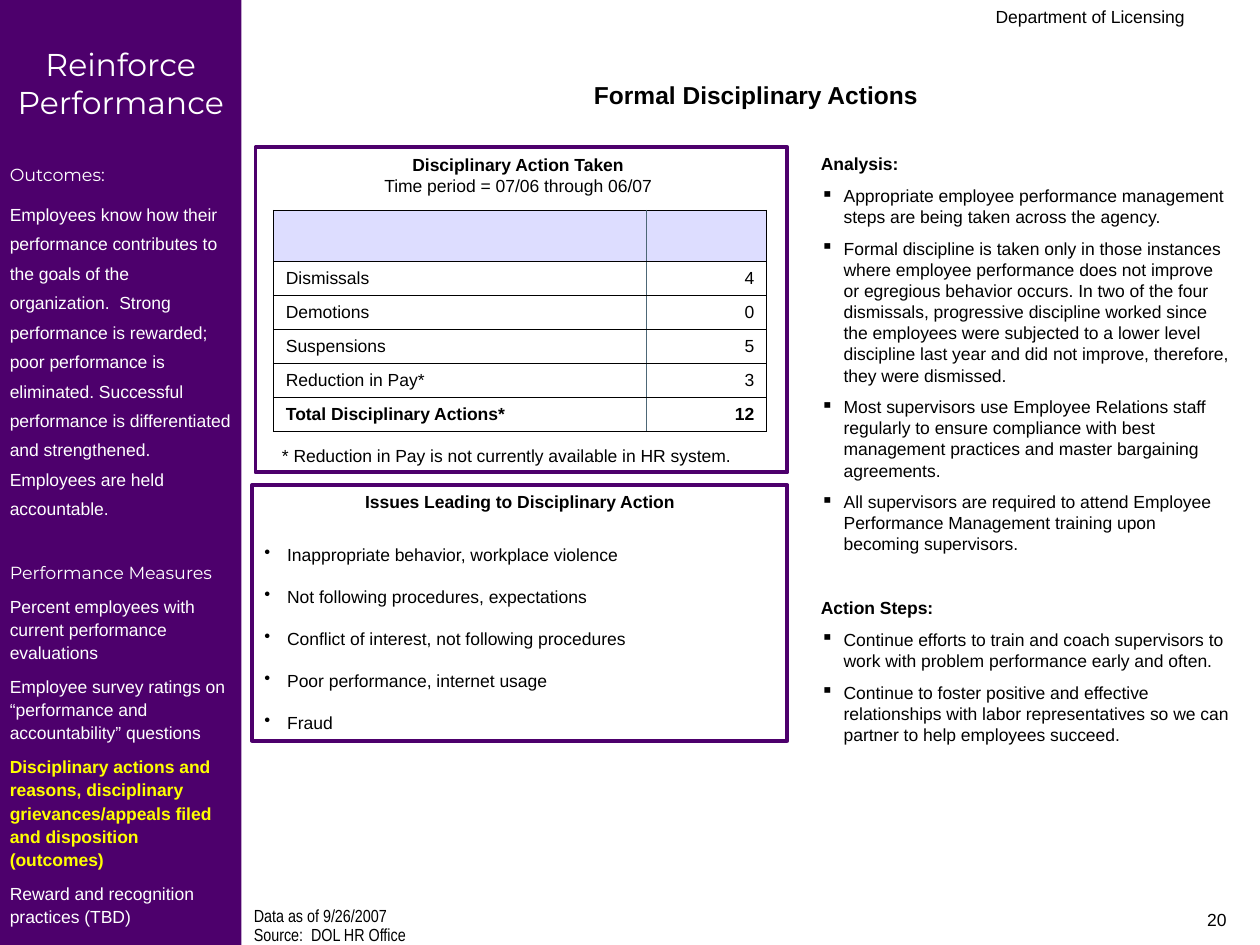
from dataclasses import dataclass
from typing import Optional

from lxml import etree
from pptx import Presentation
from pptx.dml.color import RGBColor
from pptx.enum import shapes, text
from pptx.oxml import ns
from pptx.util import Pt

HUES = {"ink": "000000", "plum": "4D006C", "white": "FFFFFF",
        "gold": "FFFF00", "lilac": "DDDDFF", "slate": "4D6776"}
LEFT, MID, RIGHT = text.PP_ALIGN.LEFT, text.PP_ALIGN.CENTER, text.PP_ALIGN.RIGHT
GAP = 6.2
LINE = 12
BREAK = 2 * GAP + LINE
HANG = 13


@dataclass
class Para:
    words: str
    size: float = 10
    face: str = "Arial"
    hue: str = "ink"
    bold: bool = False
    align: text.PP_ALIGN = LEFT
    gap: float = 0
    lead: Optional[float] = None
    mark: str = ""


@dataclass
class Box:
    left: float
    top: float
    width: float
    height: float

    def place(self) -> tuple:
        return tuple(Pt(n) for n in (self.left, self.top, self.width, self.height))


def color(name: str) -> RGBColor:
    return RGBColor.from_string(HUES[name])


def add_mark(par, mark: str, hue: str) -> None:
    """Give a paragraph a hanging bullet."""
    props = par._p.get_or_add_pPr()
    props.set("marL", str(Pt(HANG)))
    props.set("indent", str(-Pt(HANG)))
    tint = etree.SubElement(props, ns.qn("a:buClr"))
    etree.SubElement(tint, ns.qn("a:srgbClr"), val=HUES[hue])
    etree.SubElement(props, ns.qn("a:buChar"), char=mark)


def write(frame, paras: list, *, pad_x: float = 7.2, pad_top: float = 3.6) -> None:
    frame.word_wrap = True
    frame.auto_size = text.MSO_AUTO_SIZE.NONE
    frame.vertical_anchor = text.MSO_ANCHOR.TOP
    frame.margin_left = frame.margin_right = Pt(pad_x)
    frame.margin_top, frame.margin_bottom = Pt(pad_top), Pt(3.6)
    for num, item in enumerate(paras):
        par = frame.add_paragraph() if num else frame.paragraphs[0]
        fill_para(par, item)


def fill_para(par, item: Para) -> None:
    par.alignment = item.align
    par.space_before = Pt(item.gap)
    if item.lead:
        par.line_spacing = item.lead
    if item.mark:
        add_mark(par, item.mark, item.hue)
    run = par.add_run()
    run.text = item.words
    font = run.font
    font.size, font.name, font.bold = Pt(item.size), item.face, item.bold
    font.color.rgb = color(item.hue)


def label(slide, box: Box, paras: list) -> None:
    write(slide.shapes.add_textbox(*box.place()).text_frame, paras)


def panel(slide, box: Box, *, fill: str = "", line: str = ""):
    shape = slide.shapes.add_shape(shapes.MSO_SHAPE.RECTANGLE, *box.place())
    shape.shadow.inherit = False
    if fill:
        shape.fill.solid()
        shape.fill.fore_color.rgb = color(fill)
    else:
        shape.fill.background()
    if line:
        shape.line.color.rgb = color(line)
        shape.line.width = Pt(2.25)
    else:
        shape.line.fill.background()
    return shape


def edge(cell, side: str, hue: str) -> None:
    line = etree.SubElement(cell._tc.get_or_add_tcPr(), ns.qn(f"a:ln{side}"),
                            w=str(Pt(0.45)))
    solid = etree.SubElement(line, ns.qn("a:solidFill"))
    etree.SubElement(solid, ns.qn("a:srgbClr"), val=HUES[hue])


def add_grid(slide, box: Box, cols: list, rows: list, head: float) -> None:
    """Draw the action counts under an empty header row."""
    table = slide.shapes.add_table(len(rows) + 1, len(cols), *box.place()).table
    table.first_row = table.horz_banding = False
    for num, width in enumerate(cols):
        table.columns[num].width = Pt(width)
    step = (box.height - head) / len(rows)
    for r, row in enumerate([("", "")] + rows):
        table.rows[r].height = Pt(step if r else head)
        for c, words in enumerate(row):
            cell = table.cell(r, c)
            for side in "LRTB":
                inner = side == "LR"[1 - c]
                edge(cell, side, "slate" if inner else "ink")
            cell.fill.solid()
            cell.fill.fore_color.rgb = color("white" if r else "lilac")
            cell.vertical_anchor = text.MSO_ANCHOR.MIDDLE
            if words:
                fill_para(cell.text_frame.paragraphs[0],
                          Para(words, bold=r == len(rows), align=RIGHT if c else LEFT))


ISSUES = ["Inappropriate behavior, workplace violence",
          "Not following procedures, expectations",
          "Conflict of interest, not following procedures",
          "Poor performance, internet usage",
          "Fraud"]
NOTES = [
    "Appropriate employee performance management steps are being taken across the agency.",
    "Formal discipline is taken only in those instances where employee performance does not "
    "improve or egregious behavior occurs. In two of the four dismissals, progressive "
    "discipline worked since the employees were subjected to a lower level discipline last "
    "year and did not improve, therefore, they were dismissed.",
    "Most supervisors use Employee Relations staff regularly to ensure compliance with best "
    "management practices and master bargaining agreements.",
    "All supervisors are required to attend Employee Performance Management training upon "
    "becoming supervisors."]
STEPS = [
    "Continue efforts to train and coach supervisors to work with problem performance early "
    "and often.",
    "Continue to foster positive and effective relationships with labor representatives so "
    "we can partner to help employees succeed."]
COUNTS = [("Dismissals", "4"), ("Demotions", "0"), ("Suspensions", "5"),
          ("Reduction in Pay*", "3"), ("Total Disciplinary Actions*", "12")]
GOAL = ("Employees know how their performance contributes to the goals of the organization.  "
        "Strong performance is rewarded; poor performance is eliminated. Successful "
        "performance is differentiated and strengthened. Employees are held accountable.")
GAUGES = [
    ("Percent employees with current performance evaluations", False),
    ("Employee survey ratings on “performance and accountability” questions", False),
    ("Disciplinary actions and reasons, disciplinary grievances/appeals filed and "
     "disposition (outcomes)", True),
    ("Reward and recognition practices (TBD)", False)]


def squares(items: list) -> list:
    return [Para(words, gap=GAP, mark="▪") for words in items]


def main() -> None:
    deck = Presentation()
    deck.slide_width, deck.slide_height = Pt(720), Pt(540)
    slide = deck.slides.add_slide(deck.slide_layouts[5])

    title = slide.shapes.title
    title.left, title.top, title.width, title.height = Box(144, 42, 576, 24.5).place()
    write(title.text_frame,
          [Para("Formal Disciplinary Actions", size=14, bold=True, align=MID)])

    side = panel(slide, Box(0, 0, 138, 540), fill="plum")
    head = dict(face="Montserrat", hue="white")
    write(side.text_frame, [
        Para("Reinforce Performance", size=18, align=MID, **head),
        Para("Outcomes:", gap=BREAK, **head),
        Para(GOAL, hue="white", gap=GAP, lead=1.4),
        Para("Performance Measures", gap=BREAK, **head),
        *[Para(words, hue="gold" if live else "white", bold=live, gap=GAP, lead=1.1)
          for words, live in GAUGES]], pad_x=5.6, pad_top=26)

    panel(slide, Box(146, 84.2, 304, 185.8), line="plum")
    label(slide, Box(144, 84.2, 304, 32), [
        Para("Disciplinary Action Taken", bold=True, align=MID),
        Para("Time period = 07/06 through 06/07", align=MID)])
    add_grid(slide, Box(156.2, 120.2, 282, 125.8), [213, 69], COUNTS, head=28.6)
    label(slide, Box(154, 250.6, 312, 19.4),
          [Para("* Reduction in Pay is not currently available in HR system.")])

    issues = panel(slide, Box(144, 277.2, 306, 146), line="plum")
    write(issues.text_frame, [
        Para("Issues Leading to Disciplinary Action", bold=True, align=MID),
        *[Para(words, gap=LINE if num else LINE + GAP, mark="•")
          for num, words in enumerate(ISSUES)]])

    label(slide, Box(462, 84.2, 248, 382), [
        Para("Analysis:", bold=True), *squares(NOTES),
        Para("Action Steps:", bold=True, gap=BREAK), *squares(STEPS)])

    label(slide, Box(138, 517, 348, 23), [
        Para("Data as of 9/26/2007", face="Arial Narrow", lead=0.7),
        Para("Source:  DOL HR Office", face="Arial Narrow", lead=0.7, gap=2.5)])
    label(slide, Box(324, 0, 360, 18), [Para("Department of Licensing", align=RIGHT)])
    label(slide, Box(540, 516, 168, 24), [Para("20", align=RIGHT)])
    deck.save("out.pptx")


if __name__ == "__main__":
    main()
